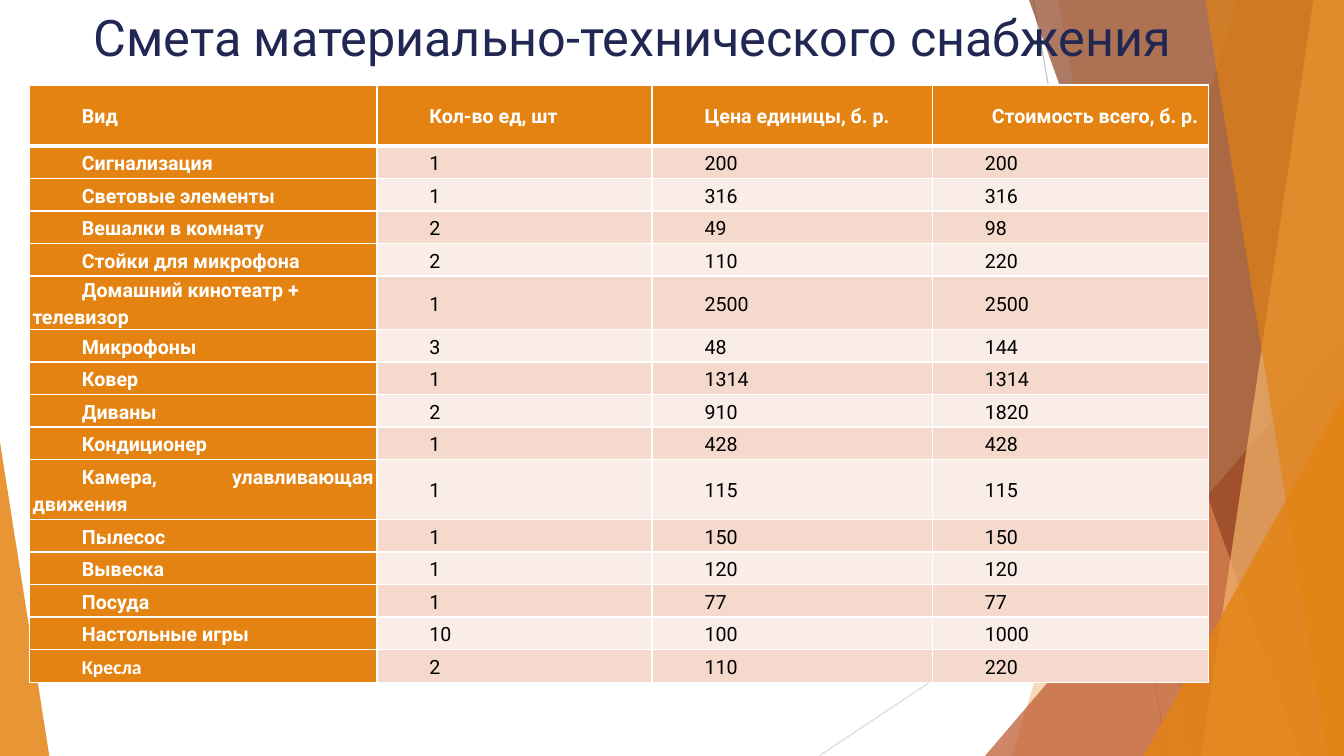
from dataclasses import dataclass

from lxml.etree import SubElement as Sub
from pptx import Presentation as Deck
from pptx.dml.color import RGBColor as Rgb
from pptx.enum.shapes import MSO_CONNECTOR as Link, MSO_SHAPE as Kind
from pptx.enum.text import MSO_ANCHOR as Anchor, MSO_AUTO_SIZE as Fit, PP_ALIGN as Align
from pptx.oxml.ns import qn
from pptx.shapes.autoshape import Shape
from pptx.shapes.shapetree import SlideShapes as Shapes
from pptx.table import _Cell as Cell
from pptx.text.text import TextFrame as Frame
from pptx.util import Pt

PX = 9525
WIDE, HIGH = 1280, 720
FONT = "Roboto"
HUES = {
    "navy": "212753", "white": "FFFFFF", "black": "000000",
    "orange": "E48312", "rust": "BD582C", "brown": "8E4221", "sand": "F3B56C",
    "rose": "F5D9CC", "blush": "FAEDE7", "gray": "BFBFBF", "light": "D9D9D9",
}


@dataclass
class Ray:
    x1: int
    y1: int
    x2: int
    y2: int
    hue: str


@dataclass
class Band:
    top: int
    foot: int
    hue: str
    alpha: int


@dataclass
class Wedge:
    x: int
    y: int
    peak: int
    width: int
    hue: str
    alpha: int


@dataclass
class Item:
    name: str
    count: int
    price: int
    high: int = 31
    align: Align = Align.JUSTIFY
    font: str = FONT


RAYS = [Ray(984, 0, 1112, HIGH, "gray"), Ray(WIDE, 387, 780, HIGH, "light")]
DECOR = [
    Band(1178, 964, "orange", 30),
    Band(1008, 1135, "orange", 20),
    Wedge(938, 320, 1, 342, "rust", 72),
    Band(980, 1239, "brown", 70),
    Band(1251, 1144, "sand", 70),
    Band(1148, 1264, "orange", 65),
    Wedge(1089, 377, 1, 191, "orange", 80),
    Wedge(0, 421, 0, 47, "orange", 85),
]
HEADS = ["Вид", "Кол-во ед, шт", "Цена единицы, б. р.", "Стоимость всего, б. р."]
COLS = [331, 262, 267, 263]
TOP_ROW = 58
ITEMS = [
    Item("Сигнализация", 1, 200),
    Item("Световые элементы", 1, 316),
    Item("Вешалки в комнату", 2, 49),
    Item("Стойки для микрофона", 2, 110),
    Item("Домашний кинотеатр + телевизор", 1, 2500, high=50, align=Align.LEFT),
    Item("Микрофоны", 3, 48),
    Item("Ковер", 1, 1314),
    Item("Диваны", 2, 910),
    Item("Кондиционер", 1, 428),
    Item("Камера, улавливающая движения", 1, 115, high=57),
    Item("Пылесос", 1, 150),
    Item("Вывеска", 1, 120),
    Item("Посуда", 1, 77),
    Item("Настольные игры", 10, 100),
    Item("Кресла", 2, 110, font="Calibri"),
]


def tint(name: str) -> Rgb:
    return Rgb.from_string(HUES[name])


def write(frame: Frame, text: str, *, size: int = 14, font: str = FONT,
          hue: str = "black", bold: bool = False, align: Align = Align.JUSTIFY,
          indent: int = 0, lead: float = 1.0) -> None:
    para = frame.paragraphs[0]
    para.alignment = align
    para.line_spacing = lead
    para._p.get_or_add_pPr().set("indent", str(indent * PX))
    run = para.add_run()
    run.text = text
    run.font.size = Pt(size)
    run.font.name = font
    run.font.bold = bold
    run.font.color.rgb = tint(hue)


def paint(shape: Shape, hue: str, alpha: int) -> None:
    shape.shadow.inherit = False
    shape.line.fill.background()
    shape.fill.solid()
    shape.fill.fore_color.rgb = tint(hue)
    color = shape._element.spPr.find(qn("a:solidFill")).find(qn("a:srgbClr"))
    Sub(color, qn("a:alpha"), val=str(alpha * 1000))


def add_ray(shapes: Shapes, ray: Ray) -> None:
    ends = (n * PX for n in (ray.x1, ray.y1, ray.x2, ray.y2))
    line = shapes.add_connector(Link.STRAIGHT, *ends)
    line.line.color.rgb = tint(ray.hue)
    line.line.width = Pt(0.75)
    Sub(line._element.spPr, qn("a:effectLst"))


def add_band(shapes: Shapes, band: Band) -> None:
    pen = shapes.build_freeform(band.top, 0, scale=PX)
    pen.add_line_segments([(WIDE, 0), (WIDE, HIGH), (band.foot, HIGH)], close=True)
    paint(pen.convert_to_shape(), band.hue, band.alpha)


def add_wedge(shapes: Shapes, wedge: Wedge) -> None:
    shape = shapes.add_shape(Kind.ISOSCELES_TRIANGLE, wedge.x * PX, wedge.y * PX,
                             wedge.width * PX, (HIGH - wedge.y) * PX)
    shape.adjustments[0] = wedge.peak
    paint(shape, wedge.hue, wedge.alpha)


def style(cell: Cell, hue: str, top: int = 1, foot: int = 1) -> None:
    props = cell._tc.get_or_add_tcPr()
    for side, width in {"L": 1, "R": 1, "T": top, "B": foot}.items():
        edge = Sub(props, qn(f"a:ln{side}"), w=str(Pt(width)))
        Sub(Sub(edge, qn("a:solidFill")), qn("a:srgbClr"), val=HUES["white"])
    cell.fill.solid()
    cell.fill.fore_color.rgb = tint(hue)
    cell.vertical_anchor = Anchor.MIDDLE
    cell.margin_left = cell.margin_right = 3 * PX
    cell.margin_top = cell.margin_bottom = 0


def add_costs(shapes: Shapes) -> None:
    highs = [TOP_ROW] + [item.high for item in ITEMS]
    table = shapes.add_table(len(highs), len(COLS), 28 * PX, 81 * PX,
                             sum(COLS) * PX, sum(highs) * PX).table
    for col, width in zip(table.columns, COLS):
        col.width = width * PX
    for row, high in zip(table.rows, highs):
        row.height = high * PX
    for c, head in enumerate(HEADS):
        cell = table.cell(0, c)
        style(cell, "orange", foot=3)
        last = c == len(HEADS) - 1
        write(cell.text_frame, head, hue="white", bold=True, indent=47, lead=1.15,
              align=Align.CENTER if last else Align.JUSTIFY)
    for r, item in enumerate(ITEMS, 1):
        band = "rose" if r % 2 else "blush"
        texts = [item.name, item.count, item.price, item.count * item.price]
        for c, text in enumerate(texts):
            cell = table.cell(r, c)
            side = c == 0
            style(cell, "orange" if side else band, top=3 if r == 1 else 1)
            write(cell.text_frame, str(text), indent=47, lead=1.15, bold=side,
                  hue="white" if side else "black",
                  font=item.font if side else FONT,
                  align=item.align if side else Align.JUSTIFY)


def main() -> None:
    deck = Deck()
    deck.slide_width, deck.slide_height = WIDE * PX, HIGH * PX
    shapes = deck.slides.add_slide(deck.slide_layouts[5]).shapes
    for ray in RAYS:
        add_ray(shapes, ray)
    for part in DECOR:
        if isinstance(part, Band):
            add_band(shapes, part)
        else:
            add_wedge(shapes, part)
    title = shapes.title
    title.left, title.top, title.width, title.height = 28 * PX, 0, 1149 * PX, 68 * PX
    title.text_frame.auto_size = Fit.NONE
    title.text_frame.vertical_anchor = Anchor.BOTTOM
    write(title.text_frame, "Смета материально-технического снабжения",
          size=36, hue="navy", align=Align.CENTER)
    shapes._spTree.append(title._element)
    add_costs(shapes)
    deck.save("out.pptx")


if __name__ == "__main__":
    main()
